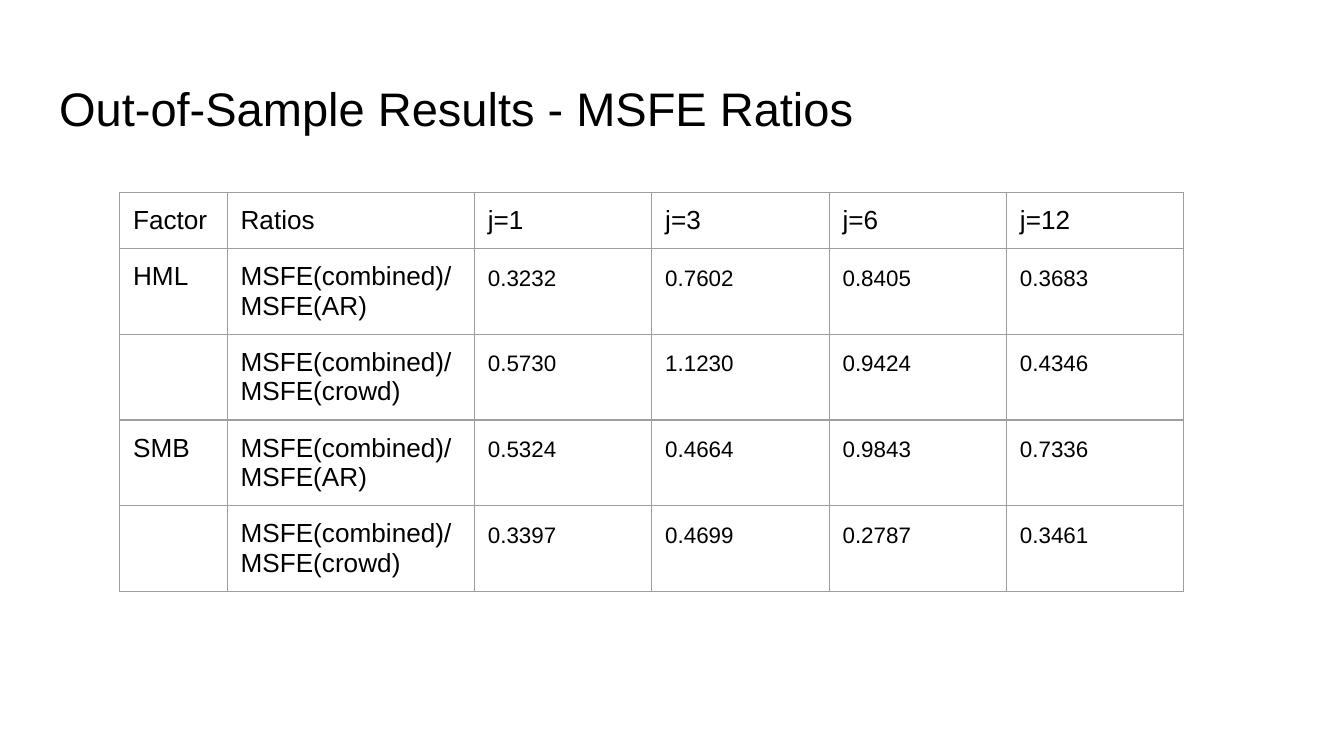
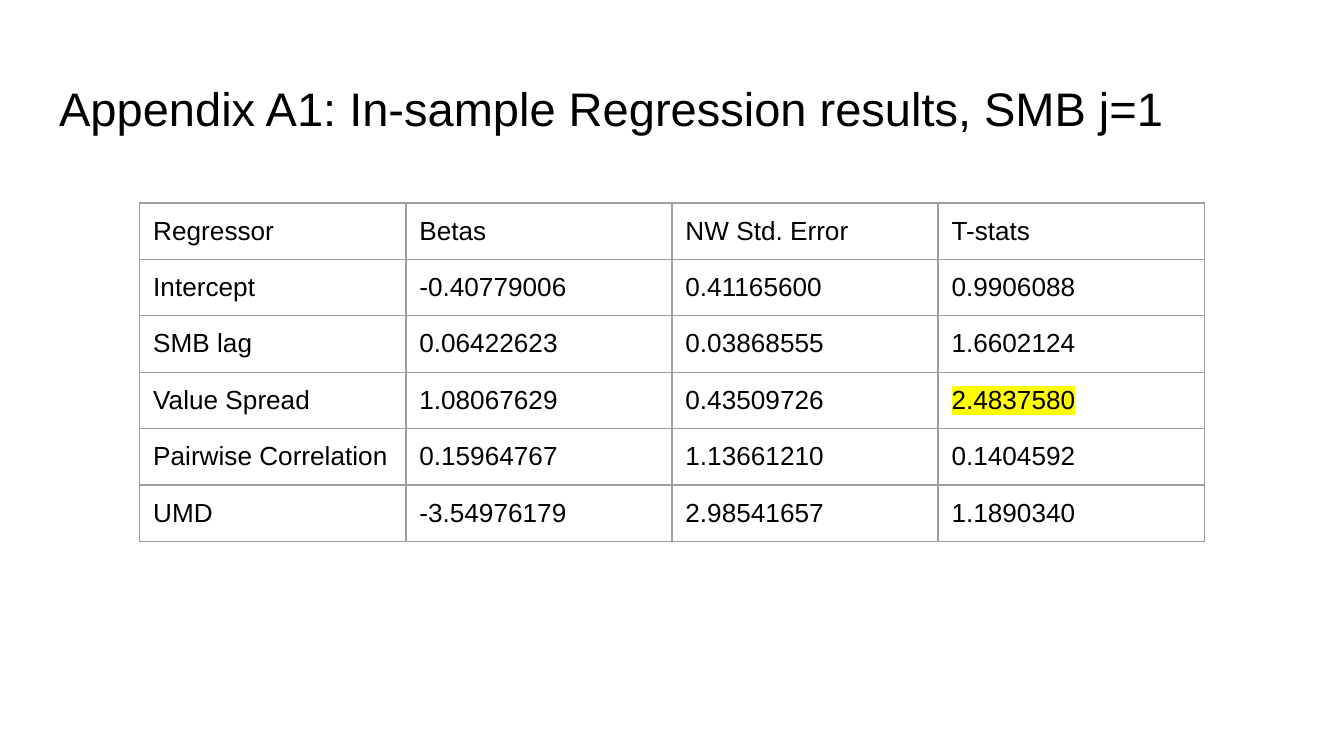
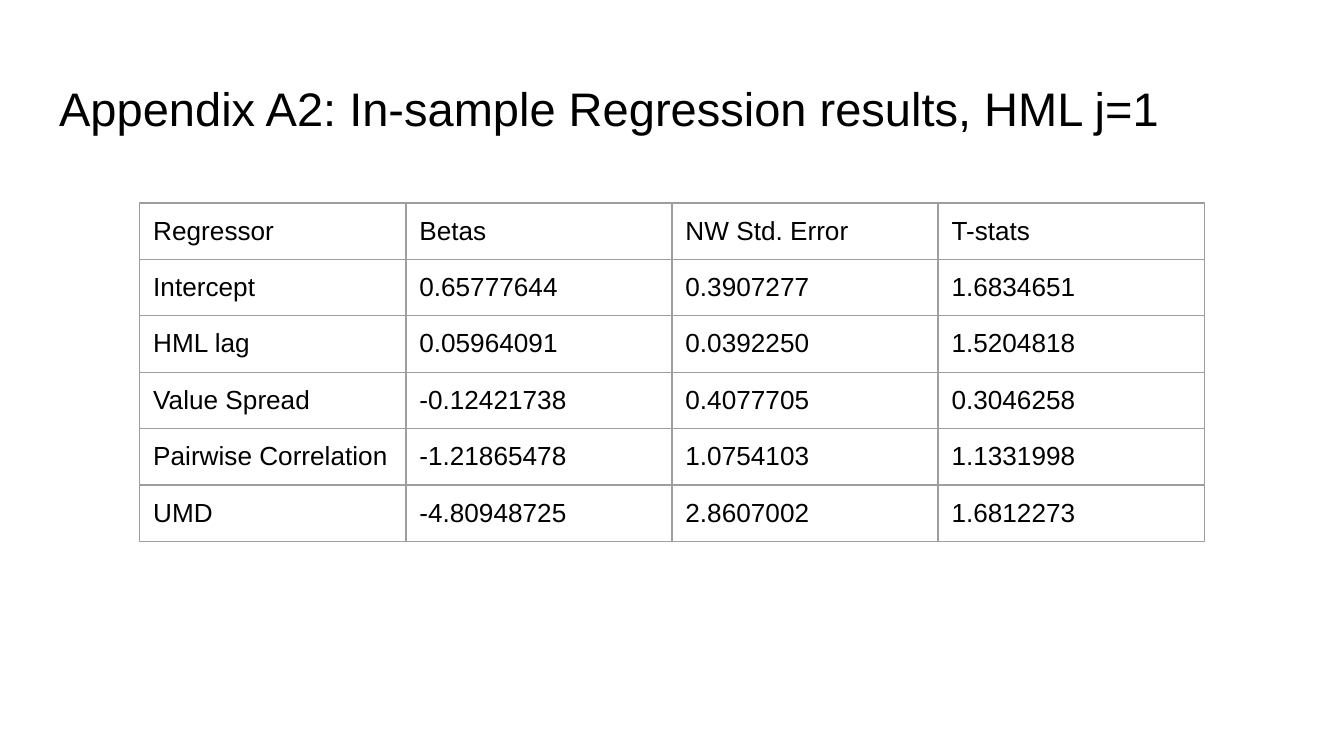
"""Build three slides of factor forecasting results as titled tables."""
from dataclasses import dataclass
from typing import Any, Optional

from lxml.etree import SubElement
from pptx import Presentation
from pptx.dml.color import RGBColor
from pptx.enum.text import MSO_ANCHOR, MSO_AUTO_SIZE, PP_ALIGN
from pptx.oxml.ns import qn
from pptx.presentation import Presentation as Deck
from pptx.slide import Slide
from pptx.util import Inches, Pt


@dataclass(frozen=True)
class Theme:
    """Colours, type sizes and shared measures."""
    font: str = "Arial"
    text: str = "000000"
    paper: str = "FFFFFF"
    border: str = "9E9E9E"
    marker: str = "FFFF00"
    title_size: float = 25.2
    cell_size: float = 14
    ratio_size: float = 12
    ratio_spacing: float = 1.15
    border_width: float = 0.75
    inset: float = 0.1
    row_height: float = 0.42


@dataclass(frozen=True)
class ResultTable:
    """A slide title with its table, place and cell styling rules."""
    title: str
    left: float
    top: float
    cols: list[float]
    rows: list[list[str]]
    is_ratio: bool = False
    marked: Optional[tuple[int, int]] = None


THEME = Theme()
REGRESSORS = ["Regressor", "Betas", "NW Std. Error", "T-stats"]


def regression(title: str, factor: str, values: list[list[str]],
               marked: Optional[tuple[int, int]] = None) -> ResultTable:
    """Describe a regression table for one factor."""
    names = ["Intercept", f"{factor} lag", "Value Spread", "Pairwise Correlation", "UMD"]
    rows = [REGRESSORS] + [[name, *row] for name, row in zip(names, values)]
    return ResultTable(f"{title}: In-sample Regression results, {factor} j=1",
                       1.04, 1.51, [1.98] * 4, rows, marked=marked)


SLIDES = [
    ResultTable(
        "Out-of-Sample Results - MSFE Ratios", 0.89, 1.43, [0.8, 1.84] + [1.32] * 4,
        [
            ["Factor", "Ratios", "j=1", "j=3", "j=6", "j=12"],
            ["HML", "MSFE(combined)/MSFE(AR)", "0.3232", "0.7602", "0.8405", "0.3683"],
            ["", "MSFE(combined)/MSFE(crowd)", "0.5730", "1.1230", "0.9424", "0.4346"],
            ["SMB", "MSFE(combined)/MSFE(AR)", "0.5324", "0.4664", "0.9843", "0.7336"],
            ["", "MSFE(combined)/MSFE(crowd)", "0.3397", "0.4699", "0.2787", "0.3461"],
        ],
        is_ratio=True,
    ),
    regression("Appendix A1", "SMB", [
        ["-0.40779006", "0.41165600", "0.9906088"],
        ["0.06422623", "0.03868555", "1.6602124"],
        ["1.08067629", "0.43509726", "2.4837580"],
        ["0.15964767", "1.13661210", "0.1404592"],
        ["-3.54976179", "2.98541657", "1.1890340"],
    ], marked=(3, 3)),
    regression("Appendix A2", "HML", [
        ["0.65777644", "0.3907277", "1.6834651"],
        ["0.05964091", "0.0392250", "1.5204818"],
        ["-0.12421738", "0.4077705", "0.3046258"],
        ["-1.21865478", "1.0754103", "1.1331998"],
        ["-4.80948725", "2.8607002", "1.6812273"],
    ]),
]


def set_attrs(target: Any, values: dict[str, Any]) -> None:
    """Set attributes from a dict of format values."""
    for name, value in values.items():
        setattr(target, name, value)


def insets() -> dict[str, Any]:
    """Return equal margins for a cell or text frame."""
    return {f"margin_{side}": Inches(THEME.inset)
            for side in ("left", "top", "right", "bottom")}


def add_run(p: Any, text: str, size: float, highlight: Optional[str] = None) -> None:
    """Add a formatted run, with an optional highlight colour."""
    r = p.add_run()
    r.text = text
    set_attrs(r.font, {"size": Pt(size), "name": THEME.font, "bold": False})
    r.font.color.rgb = RGBColor.from_string(THEME.text)
    if highlight:
        rPr = r.font._element
        mark = SubElement(rPr, qn("a:highlight"))
        SubElement(mark, qn("a:srgbClr"), val=highlight)
        rPr.find(qn("a:latin")).addprevious(mark)


def add_borders(cell: Any) -> None:
    """Draw the four borders of a cell."""
    tcPr = cell._tc.get_or_add_tcPr()
    for i, side in enumerate(("lnL", "lnR", "lnT", "lnB")):
        ln = SubElement(tcPr, qn(f"a:{side}"), w=str(Pt(THEME.border_width)))
        fill = SubElement(ln, qn("a:solidFill"))
        SubElement(fill, qn("a:srgbClr"), val=THEME.border)
        tcPr.insert(i, ln)


def add_title(s: Slide, text: str) -> None:
    """Place and format the slide title."""
    sp = s.shapes.title
    set_attrs(sp, {"left": Inches(0.34), "top": Inches(0.49),
                   "width": Inches(9.32), "height": Inches(0.63)})
    tf = sp.text_frame
    set_attrs(tf, {**insets(), "word_wrap": True, "auto_size": MSO_AUTO_SIZE.NONE,
                   "vertical_anchor": MSO_ANCHOR.MIDDLE})
    p = tf.paragraphs[0]
    p.alignment = PP_ALIGN.LEFT
    add_run(p, text, THEME.title_size)


def add_result_table(s: Slide, spec: ResultTable) -> None:
    """Draw the table described by spec."""
    table = s.shapes.add_table(
        len(spec.rows), len(spec.cols), Inches(spec.left), Inches(spec.top),
        Inches(sum(spec.cols)), Inches(THEME.row_height * len(spec.rows))).table
    set_attrs(table, {"first_row": False, "horz_banding": False})
    for column, width in zip(table.columns, spec.cols):
        column.width = Inches(width)
    for i, row in enumerate(spec.rows):
        table.rows[i].height = Inches(THEME.row_height)
        for j, text in enumerate(row):
            cell = table.cell(i, j)
            set_attrs(cell, insets())
            cell.fill.background()
            add_borders(cell)
            if not text:
                continue
            p = cell.text_frame.paragraphs[0]
            if spec.is_ratio and i > 0 and j > 1:
                p.line_spacing = THEME.ratio_spacing
                add_run(p, text, THEME.ratio_size, THEME.paper)
            else:
                add_run(p, text, THEME.cell_size,
                        THEME.marker if (i, j) == spec.marked else None)


def add_slide(prs: Deck, spec: ResultTable) -> None:
    """Add one slide with a title and a table."""
    s = prs.slides.add_slide(prs.slide_layouts[5])
    add_title(s, spec.title)
    add_result_table(s, spec)


def main() -> None:
    """Build and save the deck."""
    prs = Presentation()
    prs.slide_width = Inches(10)
    prs.slide_height = Inches(10) * 9 // 16
    fill = prs.slide_master.background.fill
    fill.solid()
    fill.fore_color.rgb = RGBColor.from_string(THEME.paper)
    for spec in SLIDES:
        add_slide(prs, spec)
    prs.save("out.pptx")


if __name__ == "__main__":
    main()
